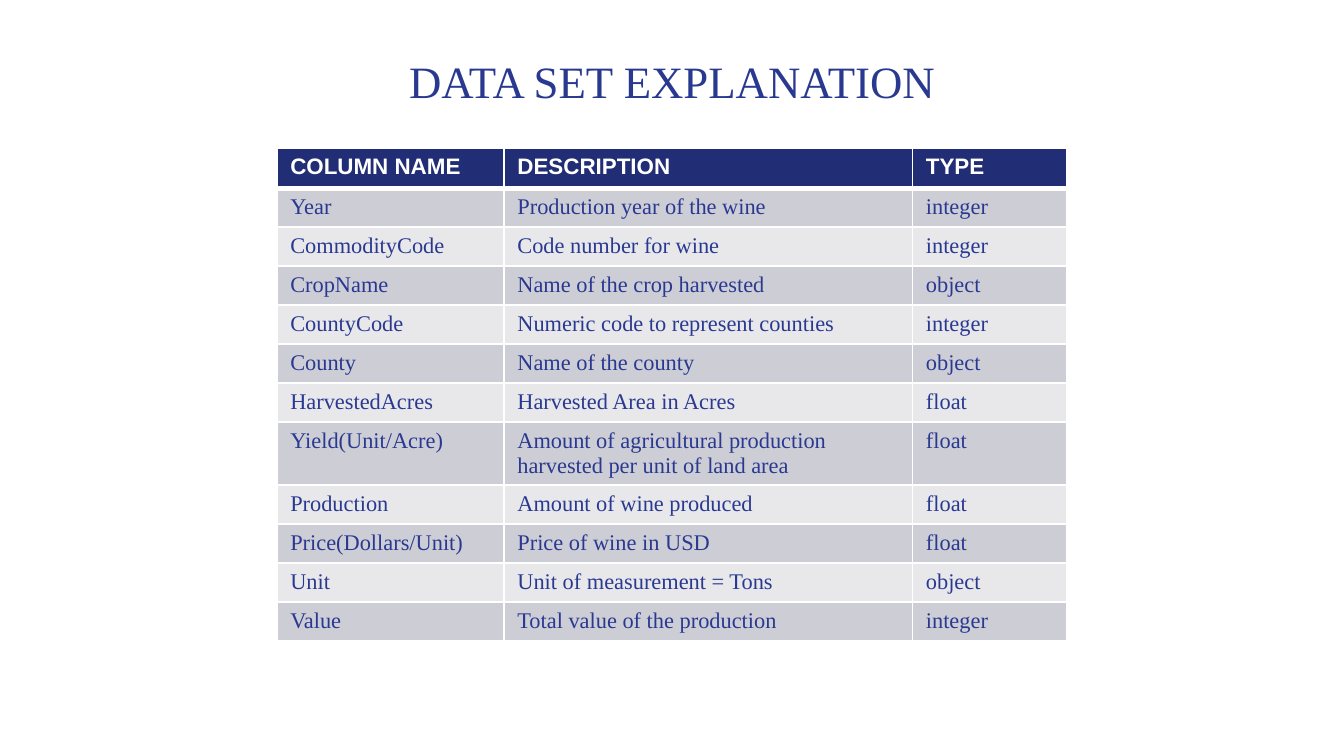
from dataclasses import dataclass

from lxml.etree import SubElement
from pptx import Presentation
from pptx.dml.color import RGBColor
from pptx.enum.text import MSO_ANCHOR, MSO_AUTO_SIZE, PP_ALIGN
from pptx.oxml.ns import qn
from pptx.util import Inches, Pt


@dataclass(frozen=True)
class Theme:
    """Colours, fonts and type sizes of the slide."""
    ink: str = "2A3990"
    header: str = "212D74"
    white: str = "FFFFFF"
    bands: tuple = ("CDCDD6", "E8E8EB")
    header_font: str = "Arial"
    body_font: str = "Times New Roman"
    title_size: int = 24
    table_size: int = 12


THEME = Theme()
COLUMN_WIDTHS = (1.69, 3.04, 1.15)
HEADER_HEIGHT, ROW_HEIGHT = 0.3, 0.29
ROWS = (
    ("COLUMN NAME", "DESCRIPTION", "TYPE"),
    ("Year", "Production year of the wine", "integer"),
    ("CommodityCode", "Code number for wine", "integer"),
    ("CropName", "Name of the crop harvested", "object"),
    ("CountyCode", "Numeric code to represent counties", "integer"),
    ("County", "Name of the county", "object"),
    ("HarvestedAcres", "Harvested Area in Acres", "float"),
    ("Yield(Unit/Acre)", "Amount of agricultural production harvested per unit of land area", "float"),
    ("Production", "Amount of wine produced", "float"),
    ("Price(Dollars/Unit)", "Price of wine in USD", "float"),
    ("Unit", "Unit of measurement = Tons", "object"),
    ("Value", "Total value of the production", "integer"),
)


def add_span(para, text, font, size, color, bold=False):
    """Add one formatted run to a paragraph."""
    span = para.add_run()
    span.text = text
    span.font.name = font
    span.font.size = Pt(size)
    span.font.bold = bold
    span.font.color.rgb = RGBColor.from_string(color)


def set_borders(cell, widths):
    """Draw white cell borders with the given width for each side."""
    properties = cell._tc.get_or_add_tcPr()
    for side, width in widths.items():
        line = SubElement(properties, qn(f"a:ln{side}"), w=str(Pt(width)))
        SubElement(SubElement(line, qn("a:solidFill")), qn("a:srgbClr"), val=THEME.white)


def fill_cell(cell, text, row_index):
    """Write and colour a table cell as a header or a banded body cell."""
    is_header = row_index == 0
    below_header = row_index == 1
    set_borders(cell, {"L": 1, "R": 1, "T": 3 if below_header else 1, "B": 3 if is_header else 1})
    cell.fill.solid()
    fill = THEME.header if is_header else THEME.bands[(row_index - 1) % 2]
    cell.fill.fore_color.rgb = RGBColor.from_string(fill)
    font = THEME.header_font if is_header else THEME.body_font
    color = THEME.white if is_header else THEME.ink
    add_span(cell.text_frame.paragraphs[0], text, font, THEME.table_size, color, is_header)


def place_title(page, left, top, width, height):
    """Move and format the title placeholder."""
    title = page.shapes.title
    title.left, title.top = Inches(left), Inches(top)
    title.width, title.height = Inches(width), Inches(height)
    frame = title.text_frame
    frame.word_wrap = True
    frame.auto_size = MSO_AUTO_SIZE.NONE
    frame.vertical_anchor = MSO_ANCHOR.TOP
    frame.margin_left = frame.margin_right = Inches(0.1)
    frame.margin_top = frame.margin_bottom = Inches(0.1)
    para = frame.paragraphs[0]
    para.alignment = PP_ALIGN.CENTER
    add_span(para, "DATA SET EXPLANATION", THEME.body_font, THEME.title_size, THEME.ink)


def place_columns_table(page, left, top):
    """Place the table that explains the columns of the data set."""
    height = HEADER_HEIGHT + ROW_HEIGHT * (len(ROWS) - 1)
    table = page.shapes.add_table(
        len(ROWS), len(COLUMN_WIDTHS), Inches(left), Inches(top),
        Inches(sum(COLUMN_WIDTHS)), Inches(height),
    ).table
    for column, width in zip(table.columns, COLUMN_WIDTHS):
        column.width = Inches(width)
    for row_index, texts in enumerate(ROWS):
        table.rows[row_index].height = Inches(ROW_HEIGHT if row_index else HEADER_HEIGHT)
        for column_index, text in enumerate(texts):
            fill_cell(table.cell(row_index, column_index), text, row_index)


def main():
    """Build and save the deck."""
    deck = Presentation()
    deck.slide_width = Inches(10)
    deck.slide_height = deck.slide_width * 9 // 16
    page = deck.slides.add_slide(deck.slide_layouts[5])
    place_title(page, 0.34, 0.3, 9.32, 0.66)
    place_columns_table(page, 2.06, 1.1)
    deck.save("out.pptx")


if __name__ == "__main__":
    main()
